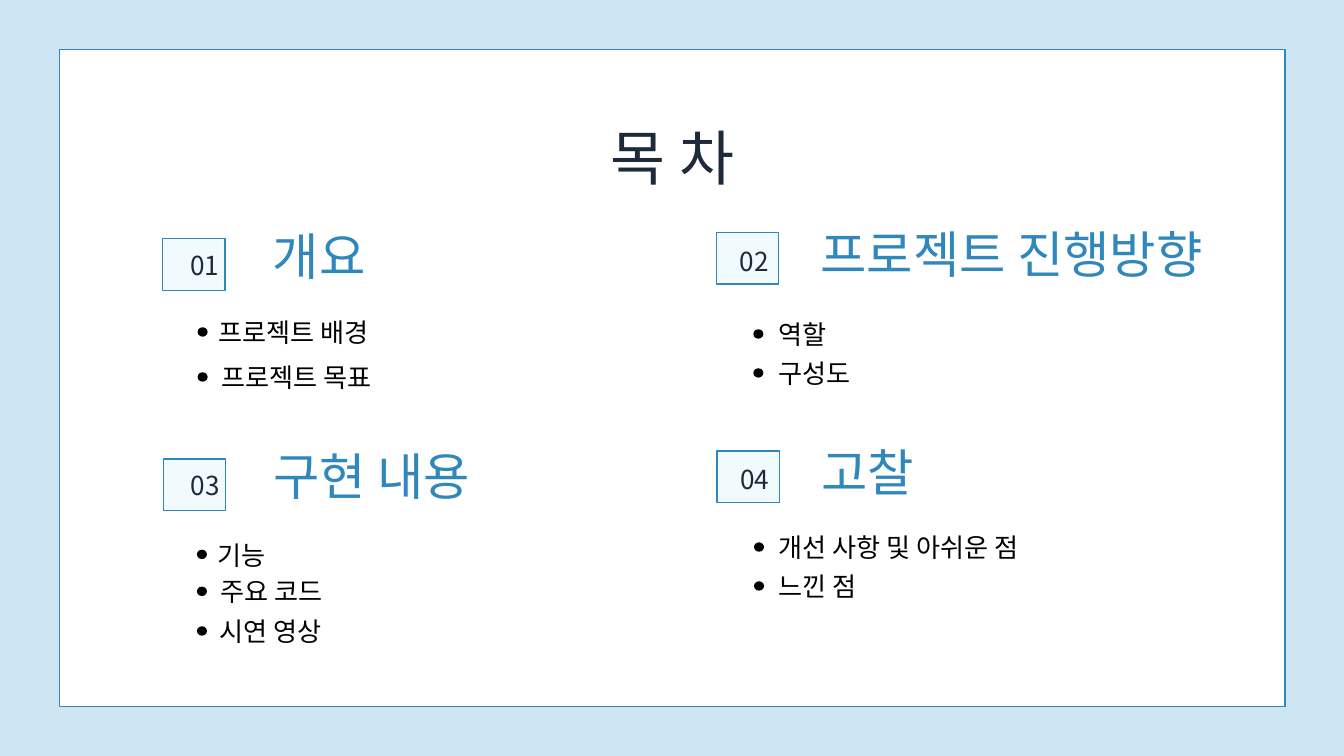
import pptx
import pptx.util
import pptx.dml.color
import pptx.enum.shapes
import pptx.enum.text

Inches = pptx.util.Inches
Pt = pptx.util.Pt
RGBColor = pptx.dml.color.RGBColor
SHAPE = pptx.enum.shapes.MSO_SHAPE
ALIGN = pptx.enum.text.PP_ALIGN

SKY = RGBColor(0xCE, 0xE6, 0xF4)
WHITE = RGBColor(0xFF, 0xFF, 0xFF)
PALE = RGBColor(0xF1, 0xFA, 0xFF)
BLUE = RGBColor(0x30, 0x87, 0xBB)
NAVY = RGBColor(0x1D, 0x2A, 0x3A)
BLACK = RGBColor(0x00, 0x00, 0x00)
FONT = "Noto Sans CJK KR"

LEFT_COLUMN = {"number": (-0.18, 0.16), "heading": (1.64, 0.23)}
RIGHT_COLUMN = {"number": (-0.24, 0.19), "heading": (1.55, 0.29)}

SECTIONS = [
    ((2.42, 3.55), LEFT_COLUMN, "01", "개요", 0.52,
     [("프로젝트 배경", 0.83, 1.16), ("프로젝트 목표", 0.88, 1.83)]),
    ((10.66, 3.46), RIGHT_COLUMN, "02", "프로젝트 진행방향", 0.55,
     [("역할", 0.92, 1.28), ("구성도", 0.92, 1.86)]),
    ((2.43, 6.83), LEFT_COLUMN, "03", "구현 내용", 0.5,
     [("기능", 0.8, 1.19), ("주요 코드", 0.85, 1.74), ("시연 영상", 0.84, 2.33)]),
    ((10.67, 6.71), RIGHT_COLUMN, "04", "고찰", 0.55,
     [("개선 사항 및 아쉬운 점", 0.92, 1.2), ("느낀 점", 0.92, 1.78)]),
]


def add_panel(page, kind, left, top, width, height, fill, line=None):
    panel = page.shapes.add_shape(
        kind, Inches(left), Inches(top), Inches(width), Inches(height))
    panel.shadow.inherit = False
    panel.fill.solid()
    panel.fill.fore_color.rgb = fill
    if line is None:
        panel.line.fill.background()
    else:
        panel.line.color.rgb = line
        panel.line.width = Pt(1.5)


def add_text(page, text, left, top, width, height, size, color,
             spacing=33.6, align=ALIGN.LEFT):
    box = page.shapes.add_textbox(
        Inches(left), Inches(top), Inches(width), Inches(height))
    frame = box.text_frame
    frame.word_wrap = True
    frame.auto_size = pptx.enum.text.MSO_AUTO_SIZE.SHAPE_TO_FIT_TEXT
    frame.margin_left = frame.margin_right = 0
    frame.margin_top = frame.margin_bottom = 0
    para = frame.paragraphs[0]
    para.alignment = align
    para.line_spacing = Pt(spacing)
    span = para.add_run()
    span.text = text
    span.font.name = FONT
    span.font.size = Pt(size)
    span.font.color.rgb = color


def add_frame(page, left, top, width, height):
    add_panel(page, SHAPE.RECTANGLE, left, top, width, height, WHITE, BLUE)
    add_text(page, "목 차", left + 6.05, top + 0.88, 6.13, 1.19, 64, NAVY,
             89.6, ALIGN.CENTER)


def add_section(page, origin, column, number, heading, dot_left, items):
    left, top = origin
    add_panel(page, SHAPE.RECTANGLE, left, top, 0.93, 0.77, PALE, BLUE)
    across, down = column["number"]
    add_text(page, number, left + across, top + down, 1.61, 0.48, 28, NAVY,
             align=ALIGN.CENTER)
    across, down = column["heading"]
    add_text(page, heading, left + across, top + down, 6.13, 0.58, 54, BLUE)
    for item, across, down in items:
        add_panel(page, SHAPE.OVAL, left + dot_left, top + down + 0.16,
                  0.15, 0.14, BLACK)
        add_text(page, item, left + across, top + down, 4.25, 0.47, 28, BLACK)


def main():
    deck = pptx.Presentation()
    deck.slide_width = Inches(20)
    deck.slide_height = Inches(11.25)
    page = deck.slides.add_slide(deck.slide_layouts[6])
    page.background.fill.solid()
    page.background.fill.fore_color.rgb = SKY
    add_frame(page, 0.89, 0.74, 18.23, 9.77)
    for section in SECTIONS:
        add_section(page, *section)
    deck.save("out.pptx")


if __name__ == "__main__":
    main()
